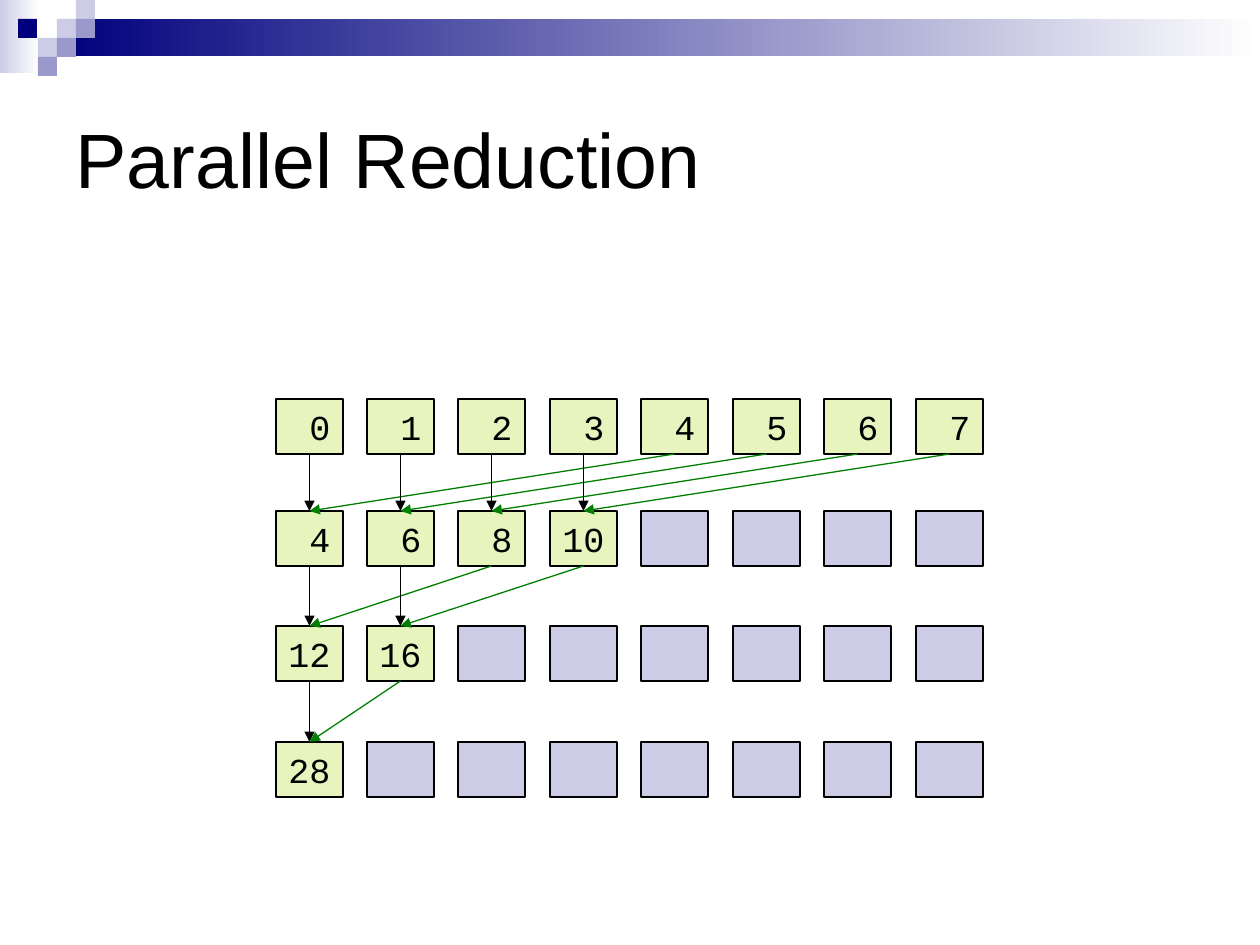
from lxml import etree
from pptx import Presentation
from pptx import util as u
from pptx.dml.color import RGBColor
from pptx.enum import shapes, text
from pptx.oxml.ns import qn

PX = u.Inches(1) / 126
NAVY, LILAC, VIOLET, LIME = "00007D", "CCCCE6", "9999CC", "E7F4BE"
BLACK, GREEN, WHITE = "000000", "008000", "FFFFFF"


def rgb(color):
    return RGBColor.from_string(color)


def rect(box, *colors):
    sp = s.shapes.add_shape(shapes.MSO_SHAPE.RECTANGLE, *[round(v * PX) for v in box])
    sp.shadow.inherit = False
    sp.line.fill.background()
    if len(colors) == 1:
        sp.fill.solid()
        sp.fill.fore_color.rgb = rgb(colors[0])
    else:
        sp.fill.gradient()
        sp.fill.gradient_angle = 0
        for stop, color in zip(sp.fill.gradient_stops, colors):
            stop.color.rgb = rgb(color)
    return sp


prs = Presentation()
prs.slide_width, prs.slide_height = round(1260 * PX), round(945 * PX)
s = prs.slides.add_slide(prs.slide_layouts[5])

rect((0, 0, 39, 73), LILAC, WHITE)
rect((57, 19, 1203, 37), NAVY, WHITE)
squares = [(57, 19, LILAC), (76, 0, LILAC), (76, 19, VIOLET), (38, 38, LILAC),
           (18, 19, NAVY), (57, 38, VIOLET), (38, 57, VIOLET)]
for x, y, color in squares:
    rect((x, y, 19, 19), color)

title = s.shapes.title
title.left, title.top, title.width, title.height = [
    round(v * PX) for v in (63, 63, 1134, 189)]
tf = title.text_frame
tf.text = "Parallel Reduction"
tf.vertical_anchor = text.MSO_ANCHOR.MIDDLE
p = tf.paragraphs[0]
p.alignment = text.PP_ALIGN.LEFT
p.font.name, p.font.size = "Arial", u.Pt(44)
p.font.color.rgb = rgb(BLACK)

steps = [list(range(8))]
while len(steps[-1]) > 1:
    half = len(steps[-1]) // 2
    steps.append([a + b for a, b in zip(steps[-1][:half], steps[-1][half:])])

lefts = [276 + col * 640 // 7 for col in range(8)]
tops = [399, 511, 626, 742]
width, height = 67, 55

for top, values in zip(tops, steps):
    for col, left in enumerate(lefts):
        active = col < len(values)
        sp = rect((left, top, width, height), LIME if active else LILAC)
        sp.line.color.rgb = rgb(BLACK)
        sp.line.width = u.Pt(0.75)
        if active:
            tf = sp.text_frame
            tf.word_wrap = False
            tf.vertical_anchor = text.MSO_ANCHOR.TOP
            tf.text = f"{values[col]:>2}"
            p = tf.paragraphs[0]
            p.alignment = text.PP_ALIGN.LEFT
            p.font.name, p.font.size = "Courier New", u.Pt(20)
            p.font.color.rgb = rgb(BLACK)

centers = [left + width / 2 for left in lefts]
for top, next_top, values in zip(tops, tops[1:], steps):
    half = len(values) // 2
    for col in range(half):
        for source, color in ((col, BLACK), (col + half, GREEN)):
            ends = (centers[source], top + height, centers[col], next_top)
            arrow = s.shapes.add_connector(
                shapes.MSO_CONNECTOR.STRAIGHT, *[round(v * PX) for v in ends])
            arrow.line.color.rgb = rgb(color)
            arrow.line.width = u.Pt(0.75)
            etree.SubElement(arrow.line._get_or_add_ln(), qn("a:tailEnd"), type="triangle")
            etree.SubElement(arrow._element.spPr, qn("a:effectLst"))

prs.save("out.pptx")
